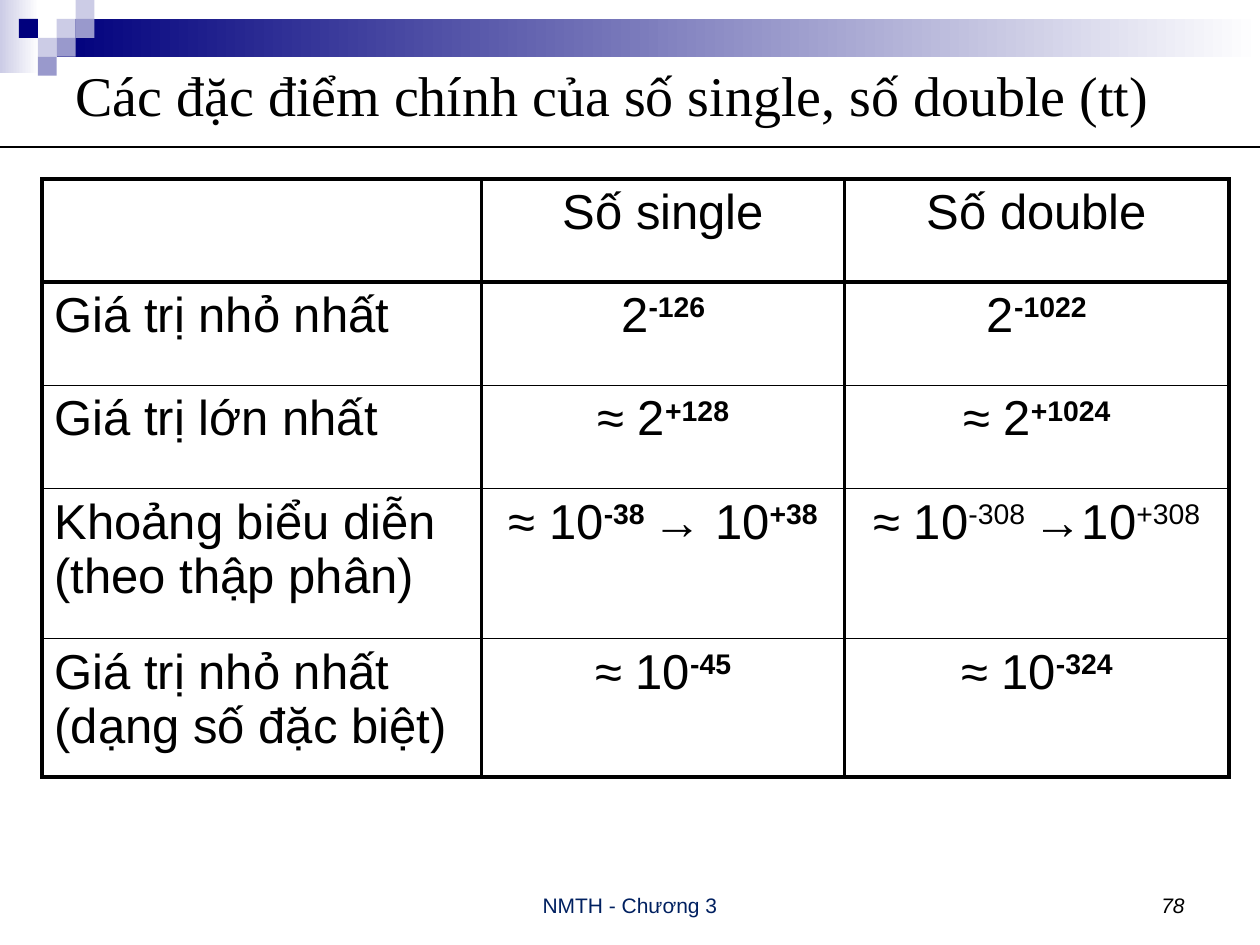
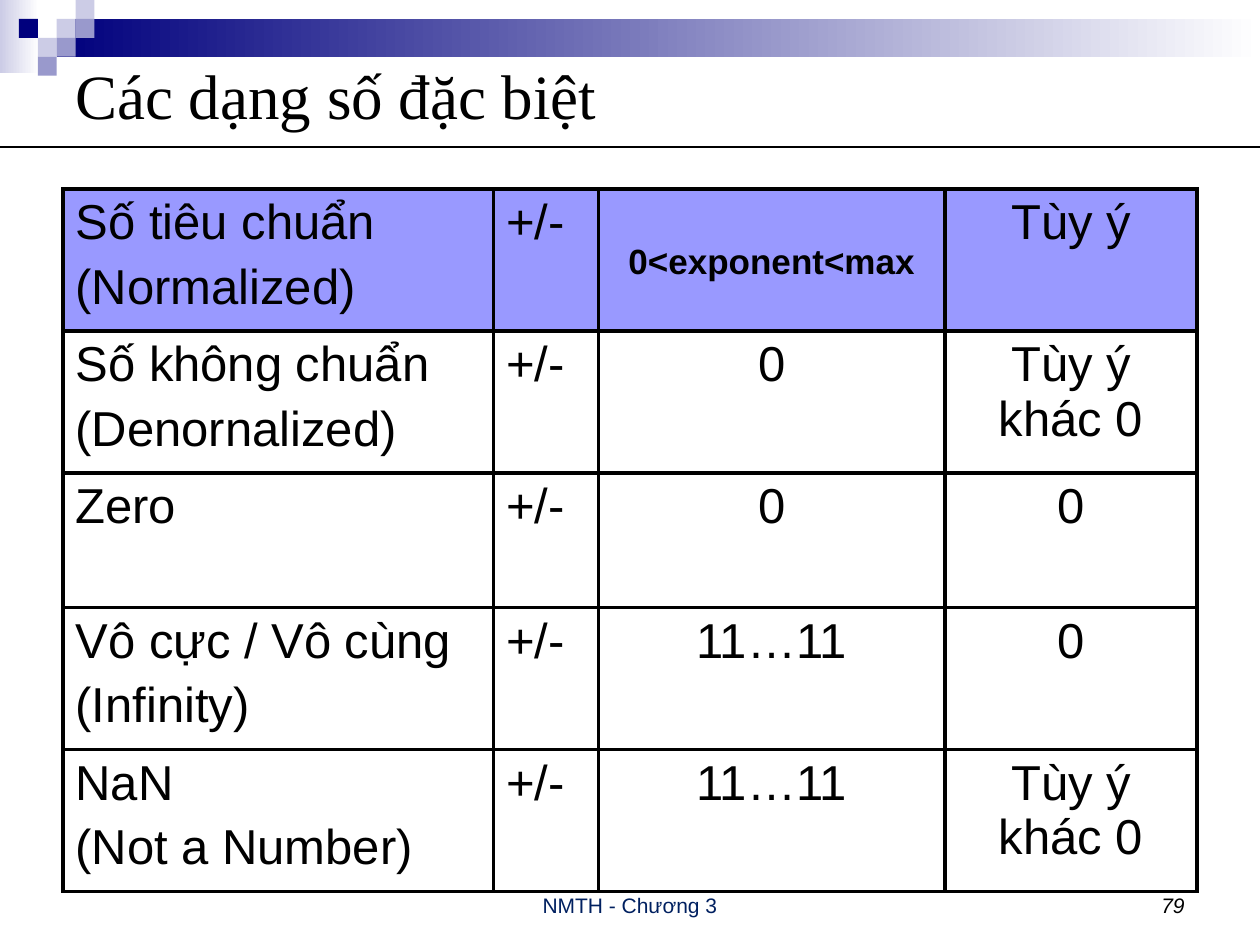
from dataclasses import dataclass

import lxml.etree
import pptx
import pptx.dml.color
import pptx.enum.shapes
import pptx.enum.text
import pptx.oxml.ns
import pptx.util

Pt = pptx.util.Pt
ALIGN = pptx.enum.text.PP_ALIGN
ANCHOR = pptx.enum.text.MSO_ANCHOR

# Shared look
SLIDE_WIDTH, SLIDE_HEIGHT = 720, 540
BLACK, WHITE = "000000", "FFFFFF"
NAVY, LAVENDER, PALE = "00007D", "9999CC", "CCCCE6"
FOOTER_BLUE, HIGHLIGHT = "002060", "9999FF"
BODY_FONT, TITLE_FONT = "Arial", "Times New Roman"
BODY_SIZE = 28
THICK, THIN = 2.25, 1
TILE = 10.8


@dataclass(frozen=True)
class Box:
    left: float
    top: float
    width: float
    height: float

    def lengths(self) -> tuple:
        return Pt(self.left), Pt(self.top), Pt(self.width), Pt(self.height)


@dataclass(frozen=True)
class Tile:
    column: int
    row: int
    color: str


@dataclass(frozen=True)
class Span:
    text: str
    bold: bool = False
    raised: bool = False


@dataclass(frozen=True)
class Cell:
    lines: tuple[tuple[Span, ...], ...]
    align: ALIGN = ALIGN.LEFT
    size: float = BODY_SIZE
    top_margin: float = 3.6


@dataclass(frozen=True)
class Grid:
    left: float
    top: float
    columns: tuple[float, ...]
    rows: tuple[float, ...]
    rules: tuple[float, ...]  # weights of horizontal lines, top to bottom
    cells: tuple[tuple[Cell, ...], ...]
    first_row_fill: str | None = None


TILES = (
    Tile(3, 1, PALE), Tile(4, 0, PALE), Tile(4, 1, LAVENDER), Tile(2, 2, PALE),
    Tile(1, 1, NAVY), Tile(3, 2, LAVENDER), Tile(2, 3, LAVENDER),
)


def rgb(color: str) -> pptx.dml.color.RGBColor:
    return pptx.dml.color.RGBColor.from_string(color)


def style_font(font, name: str, size: float, color: str = BLACK,
               bold: bool = False, italic: bool = False) -> None:
    font.name, font.size = name, Pt(size)
    font.bold, font.italic = bold, italic
    font.color.rgb = rgb(color)


# Slide frame
def add_band(slide, box: Box, color: str, fade_to: str | None = None) -> None:
    shape = slide.shapes.add_shape(pptx.enum.shapes.MSO_SHAPE.RECTANGLE, *box.lengths())
    shape.shadow.inherit = False
    shape.line.fill.background()
    if fade_to is None:
        shape.fill.solid()
        shape.fill.fore_color.rgb = rgb(color)
        return
    shape.fill.gradient()
    shape.fill.gradient_angle = 0
    for stop, stop_color in zip(shape.fill.gradient_stops, (color, fade_to)):
        stop.color.rgb = rgb(stop_color)


def add_text(slide, box: Box, text: str, name: str, size: float, anchor: ANCHOR,
             align: ALIGN, color: str = BLACK, italic: bool = False) -> None:
    text_frame = slide.shapes.add_textbox(*box.lengths()).text_frame
    text_frame.word_wrap = True
    text_frame.vertical_anchor = anchor
    text_frame.text = text
    paragraph = text_frame.paragraphs[0]
    paragraph.alignment = align
    style_font(paragraph.runs[0].font, name, size, color, italic=italic)


def add_framed_slide(presentation, title: str, title_size: float, number: int):
    slide = presentation.slides.add_slide(presentation.slide_layouts[6])
    add_band(slide, Box(0, 0, 22.3, 41.8), PALE, WHITE)
    add_band(slide, Box(3 * TILE, TILE, SLIDE_WIDTH - 3 * TILE, 2 * TILE), NAVY, WHITE)
    for tile in TILES:
        add_band(slide, Box(tile.column * TILE, tile.row * TILE, TILE, TILE), tile.color)

    add_text(slide, Box(36, 36, 648, 36), title, TITLE_FONT, title_size,
             ANCHOR.MIDDLE, ALIGN.LEFT)
    rule = slide.shapes.add_connector(pptx.enum.shapes.MSO_CONNECTOR.STRAIGHT,
                                      0, Pt(84), Pt(SLIDE_WIDTH), Pt(84))
    rule.line.color.rgb = rgb(BLACK)
    rule.line.width = Pt(0.75)
    lxml.etree.SubElement(rule._element.spPr, pptx.oxml.ns.qn("a:effectLst"))

    add_text(slide, Box(246, 492, 228, 36), "NMTH - Chương 3", BODY_FONT, 12,
             ANCHOR.BOTTOM, ALIGN.CENTER, FOOTER_BLUE)
    add_text(slide, Box(516, 492, 168, 36), str(number), BODY_FONT, 12,
             ANCHOR.BOTTOM, ALIGN.RIGHT, italic=True)
    return slide


# Tables
def set_borders(table_cell, top: float, bottom: float) -> None:
    properties = table_cell._tc.get_or_add_tcPr()
    weights = {"a:lnL": THICK, "a:lnR": THICK, "a:lnT": top, "a:lnB": bottom}
    for index, (tag, weight) in enumerate(weights.items()):
        line = lxml.etree.Element(pptx.oxml.ns.qn(tag), w=str(Pt(weight)))
        fill = lxml.etree.SubElement(line, pptx.oxml.ns.qn("a:solidFill"))
        lxml.etree.SubElement(fill, pptx.oxml.ns.qn("a:srgbClr"), val=BLACK)
        properties.insert(index, line)


def fill_cell(table_cell, cell: Cell) -> None:
    table_cell.margin_top = Pt(cell.top_margin)
    text_frame = table_cell.text_frame
    for index, spans in enumerate(cell.lines):
        paragraph = text_frame.add_paragraph() if index else text_frame.paragraphs[0]
        paragraph.alignment = cell.align
        if index:
            paragraph.space_before = Pt(0.2 * cell.size)
        for span in spans:
            run = paragraph.add_run()
            run.text = span.text
            style_font(run.font, BODY_FONT, cell.size, bold=span.bold)
            if span.raised:
                run._r.get_or_add_rPr().set("baseline", "30000")


def add_grid(slide, grid: Grid) -> None:
    box = Box(grid.left, grid.top, sum(grid.columns), sum(grid.rows))
    table = slide.shapes.add_table(len(grid.rows), len(grid.columns), *box.lengths()).table
    table.first_row = table.horz_banding = False
    for column, width in zip(table.columns, grid.columns):
        column.width = Pt(width)
    for row, height in zip(table.rows, grid.rows):
        row.height = Pt(height)
    for row_index, row_cells in enumerate(grid.cells):
        for column_index, cell in enumerate(row_cells):
            table_cell = table.cell(row_index, column_index)
            if row_index == 0 and grid.first_row_fill:
                table_cell.fill.solid()
                table_cell.fill.fore_color.rgb = rgb(grid.first_row_fill)
            else:
                table_cell.fill.background()
            set_borders(table_cell, *grid.rules[row_index:row_index + 2])
            fill_cell(table_cell, cell)


def label(*lines: str) -> Cell:
    return Cell(tuple((Span(line),) for line in lines))


def value(*spans: Span) -> Cell:
    return Cell((spans,), ALIGN.CENTER)


def plain(text: str) -> Cell:
    return value(Span(text))


def power(base: str, exponent: str) -> Cell:
    return value(Span(base), Span(exponent, bold=True, raised=True))


SINGLE_RANGE = value(
    Span("≈ 10"), Span("-38 ", bold=True, raised=True), Span("→ ", bold=True),
    Span("10"), Span("+38", bold=True, raised=True),
)
DOUBLE_RANGE = value(
    Span("≈ 10"), Span("-308 ", raised=True), Span("→10"), Span("+308", raised=True),
)
PRECISION_GRID = Grid(
    left=24, top=102.2,
    columns=(251.3, 207.4, 219.6),
    rows=(59, 59, 59, 85.7, 79.2),
    rules=(THICK, THICK, THIN, THIN, THIN, THICK),
    cells=(
        (Cell(()), plain("Số single"), plain("Số double")),
        (label("Giá trị nhỏ nhất"), power("2", "-126"), power("2", "-1022")),
        (label("Giá trị lớn nhất"), power("≈ 2", "+128"), power("≈ 2", "+1024")),
        (label("Khoảng biểu diễn (theo thập phân)"), SINGLE_RANGE, DOUBLE_RANGE),
        (label("Giá trị nhỏ nhất (dạng số đặc biệt)"),
         power("≈ 10", "-45"), power("≈ 10", "-324")),
    ),
)

SIGN = label("+/-")
EXPONENT_RANGE = Cell(((Span("0<exponent<max", bold=True),),), ALIGN.CENTER,
                      size=20, top_margin=30.6)
SPECIAL_GRID = Grid(
    left=36, top=108,
    columns=(246, 60, 198, 144),
    rows=(81.2, 81.2, 76.8, 81.2, 81.2),
    rules=(THICK,) * 6,
    cells=(
        (label("Số tiêu chuẩn", "(Normalized)"), SIGN, EXPONENT_RANGE, plain("Tùy ý")),
        (label("Số không chuẩn", "(Denornalized)"), SIGN, plain("0"), plain("Tùy ý khác 0")),
        (label("Zero"), SIGN, plain("0"), plain("0")),
        (label("Vô cực / Vô cùng", "(Infinity)"), SIGN, plain("11…11"), plain("0")),
        (label("NaN", "(Not a Number)"), SIGN, plain("11…11"), plain("Tùy ý khác 0")),
    ),
    first_row_fill=HIGHLIGHT,
)


def main() -> None:
    presentation = pptx.Presentation()
    presentation.slide_width = Pt(SLIDE_WIDTH)
    presentation.slide_height = Pt(SLIDE_HEIGHT)

    # Single and double precision
    slide = add_framed_slide(
        presentation, "Các đặc điểm chính của số single, số double (tt)", 32, 78)
    add_grid(slide, PRECISION_GRID)

    # Special numbers
    slide = add_framed_slide(presentation, "Các dạng số đặc biệt", 36, 79)
    add_grid(slide, SPECIAL_GRID)

    presentation.save("out.pptx")


if __name__ == "__main__":
    main()
